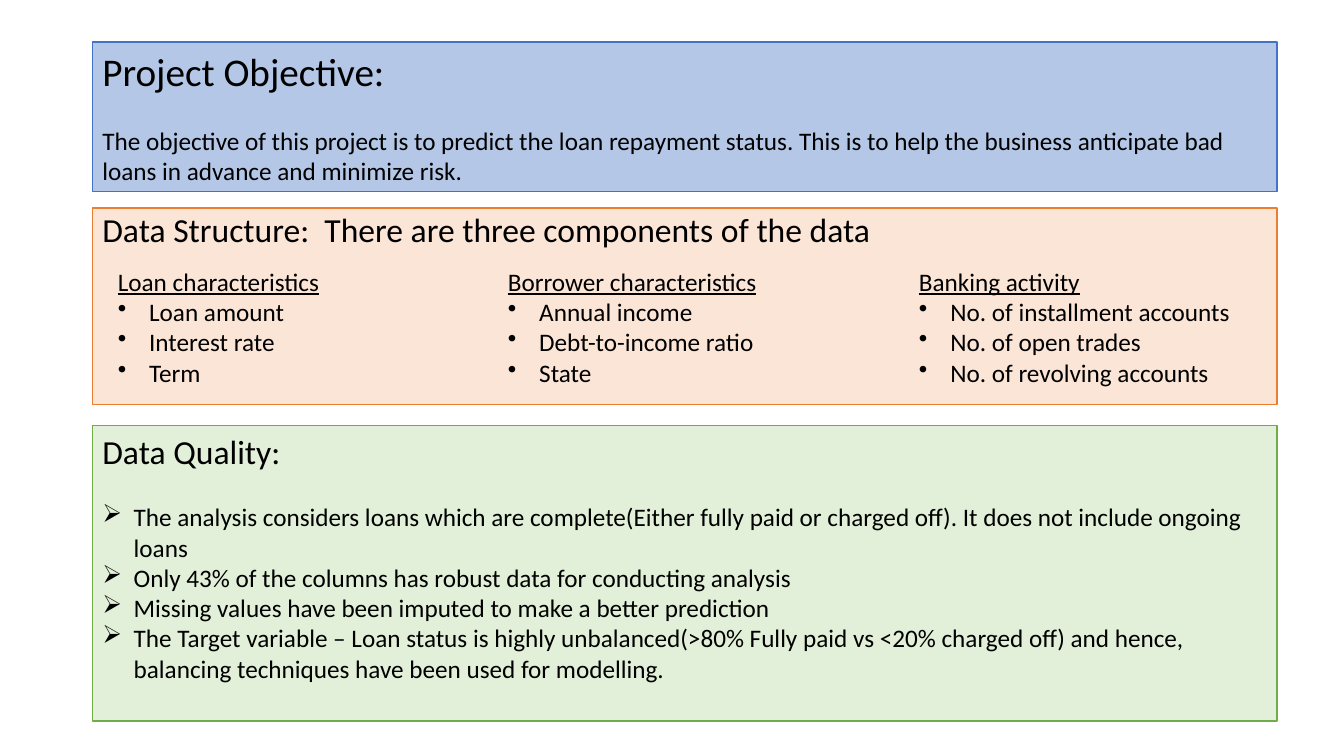
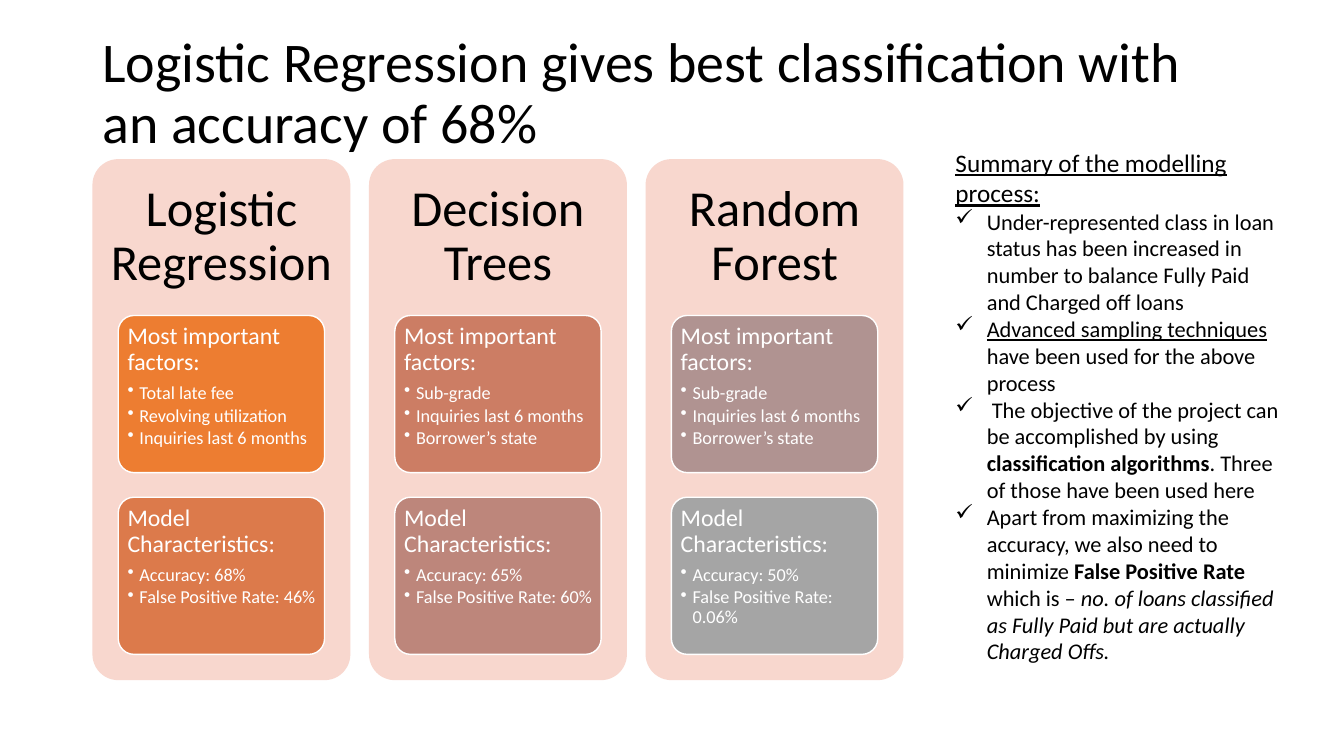
"""Build two slides on loan repayment: the project's data and its model comparison."""
import pptx
import pptx.dml.color
import pptx.enum.shapes
import pptx.enum.text
import pptx.oxml.ns
import pptx.util
from lxml import etree

Cm, Pt = pptx.util.Cm, pptx.util.Pt
SHAPES = pptx.enum.shapes.MSO_SHAPE
ANCHOR = pptx.enum.text.MSO_ANCHOR
CENTER = pptx.enum.text.PP_ALIGN.CENTER

FONT, BLACK, WHITE, CARD = "Calibri", "000000", "FFFFFF", "F8D7CE"
LEFT, BAND_WIDTH = 2.33, 29.85
BOX_INSETS = (0.25, 0.13)

STYLES = {
    "title": {"size": 40, "paragraph": {"line_spacing": 0.9}},
    "objective": {"size": 28, "paragraph": {"space_after": Pt(22)}},
    "structure": {"size": 24, "paragraph": {"line_spacing": 0.9}},
    "quality": {"size": 24, "paragraph": {"space_after": Pt(22)}},
    "body": {"size": 18},
    "label": {"size": 18, "font": {"underline": True}},
    "dot": {"size": 18, "bullet": ("•", 0.79)},
    "arrow": {"size": 18, "bullet": ("➢", 0.79)},
    "check": {"size": 16, "bullet": ("✓", 0.79)},
    "model": {"size": 36, "paragraph": {"line_spacing": 0.9, "alignment": CENTER}},
    "tile": {"size": 17, "color": WHITE,
             "paragraph": {"line_spacing": 0.9, "space_after": Pt(6)}},
    "tile dot": {"size": 13, "color": WHITE, "bullet": ("•", 0.3),
                 "paragraph": {"level": 1, "line_spacing": 0.9, "space_after": Pt(2)}},
}

BANDS = [
    (1.06, 3.77, "B4C7E7", "4472C4", [
        ("objective", "Project Objective:"),
        ("body", "The objective of this project is to predict the loan repayment status. "
                 "This is to help the business anticipate bad loans in advance and minimize risk."),
    ]),
    (5.24, 4.96, "FBE5D6", "ED7D31", [
        ("structure", "Data Structure:  There are three components of the data"),
    ]),
    (10.72, 7.45, "E2F0D9", "70AD47", [
        ("quality", "Data Quality:"),
        ("arrow", "The analysis considers loans which are complete(Either fully paid or "
                  "charged off). It does not include ongoing loans"),
        ("arrow", "Only 43% of the columns has robust data for conducting analysis"),
        ("arrow", "Missing values have been imputed to make a better prediction"),
        ("arrow", "The Target variable – Loan status is highly unbalanced(>80% Fully paid vs "
                  "<20% charged off) and hence, balancing techniques have been used for modelling."),
    ]),
]

COMPONENTS = [
    (2.72, 8.28, "Loan characteristics", ["Loan amount", "Interest rate", "Term"]),
    (12.55, 8.97, "Borrower characteristics",
     ["Annual income", "Debt-to-income ratio", "State"]),
    (22.91, 8.41, "Banking activity",
     ["No. of installment accounts", "No. of open trades", "No. of revolving accounts"]),
]

TITLE = "Logistic Regression gives best classification with an accuracy of 68%"
TILE_HEADINGS = ("Most important factors:", "Model Characteristics:")
MODELS = [
    ("Logistic Regression", [
        ("ED7D31", ["Total late fee", "Revolving utilization", "Inquiries last 6 months"]),
        ("DC7A4B", ["Accuracy: 68%", "False Positive Rate: 46%"])]),
    ("Decision Trees", [
        ("CC7D64", ["Sub-grade", "Inquiries last 6 months", "Borrower’s state"]),
        ("BD867B", ["Accuracy: 65%", "False Positive Rate: 60%"])]),
    ("Random Forest", [
        ("B09391", ["Sub-grade", "Inquiries last 6 months", "Borrower’s state"]),
        ("A5A5A5", ["Accuracy: 50%", "False Positive Rate: 0.06%"])]),
]

SUMMARY = [
    ("label", "Summary of the modelling process:"),
    ("check", "Under-represented class in loan status has been increased in number to "
              "balance Fully Paid and Charged off loans"),
    ("check", ("Advanced sampling techniques ", {"underline": True}),
     "have been used for the above process"),
    ("check", " The objective of the project can be accomplished by using ",
     ("classification algorithms", {"bold": True}), ". Three of those have been used here"),
    ("check", "Apart from maximizing the accuracy, we also need to minimize ",
     ("False Positive Rate ", {"bold": True}), "which is – ",
     ("no. of loans classified as Fully Paid but are actually Charged Offs.",
      {"italic": True})),
]


def rgb(value):
    return pptx.dml.color.RGBColor.from_string(value)


def apply(target, formats):
    for name, value in formats.items():
        setattr(target, name, value)


def add_bullet(paragraph, mark, indent):
    properties = paragraph._p.get_or_add_pPr()
    properties.set("marL", str(Cm(indent)))
    properties.set("indent", str(-Cm(indent)))
    bullet = etree.SubElement(properties, pptx.oxml.ns.qn("a:buChar"))
    bullet.set("char", mark)


def write(shape, paragraphs, anchor=ANCHOR.TOP, insets=BOX_INSETS):
    frame = shape.text_frame
    across, down = map(Cm, insets)
    apply(frame, {"word_wrap": True, "vertical_anchor": anchor,
                  "margin_left": across, "margin_right": across,
                  "margin_top": down, "margin_bottom": down})
    for number, (style_name, *runs) in enumerate(paragraphs):
        style = STYLES[style_name]
        paragraph = frame.add_paragraph() if number else frame.paragraphs[0]
        apply(paragraph, {"alignment": pptx.enum.text.PP_ALIGN.LEFT,
                          **style.get("paragraph", {})})
        if "bullet" in style:
            add_bullet(paragraph, *style["bullet"])
        for part in runs:
            words, emphasis = (part, {}) if isinstance(part, str) else part
            run = paragraph.add_run()
            run.text = words
            apply(run.font, {"name": FONT, "size": Pt(style["size"]),
                             **style.get("font", {}), **emphasis})
            run.font.color.rgb = rgb(style.get("color", BLACK))


def add_text(slide, place, paragraphs, **layout):
    write(slide.shapes.add_textbox(*map(Cm, place)), paragraphs, **layout)


def add_panel(slide, kind, place, fill, outline=None):
    panel = slide.shapes.add_shape(kind, *map(Cm, place))
    panel.shadow.inherit = False
    panel.fill.solid()
    panel.fill.fore_color.rgb = rgb(fill)
    if outline:
        panel.line.color.rgb = rgb(outline)
        panel.line.width = Pt(1)
    else:
        panel.line.fill.background()
    if kind == SHAPES.ROUNDED_RECTANGLE:
        panel.adjustments[0] = 0.1
    return panel


def build_data_slide(slide):
    for top, height, fill, outline, paragraphs in BANDS:
        band = add_panel(slide, SHAPES.RECTANGLE, (LEFT, top, BAND_WIDTH, height), fill, outline)
        write(band, paragraphs)
    for left, width, heading, items in COMPONENTS:
        add_text(slide, (left, 6.58, width, 3.33),
                 [("label", heading), *(("dot", item) for item in items)])


def build_model_slide(slide):
    add_text(slide, (LEFT, 0.55, 29.21, 3.68), [("title", TITLE)], anchor=ANCHOR.MIDDLE)
    card_top, card_width, card_pitch = 4.01, 6.5, 6.97
    heading_height, tile_width, tile_height, tile_pitch = 3.94, 5.2, 3.96, 4.58
    for column, (model, tiles) in enumerate(MODELS):
        left = LEFT + column * card_pitch
        add_panel(slide, SHAPES.ROUNDED_RECTANGLE, (left, card_top, card_width, 13.13), CARD)
        add_text(slide, (left, card_top, card_width, heading_height), [("model", model)],
                 anchor=ANCHOR.MIDDLE, insets=(0.38, 0.38))
        tile_left = left + (card_width - tile_width) / 2
        for row, (heading, (fill, items)) in enumerate(zip(TILE_HEADINGS, tiles)):
            top = card_top + heading_height + row * tile_pitch
            tile = add_panel(slide, SHAPES.ROUNDED_RECTANGLE,
                             (tile_left, top, tile_width, tile_height), fill, WHITE)
            write(tile, [("tile", heading), *(("tile dot", item) for item in items)],
                  insets=(0.12, 0.1))
    add_text(slide, (23.83, 3.58, 8.79, 13.41), SUMMARY)


deck = pptx.Presentation()
apply(deck, {"slide_width": Cm(33.87), "slide_height": Cm(19.05)})
for build in (build_data_slide, build_model_slide):
    build(deck.slides.add_slide(deck.slide_layouts[6]))
deck.save("out.pptx")
